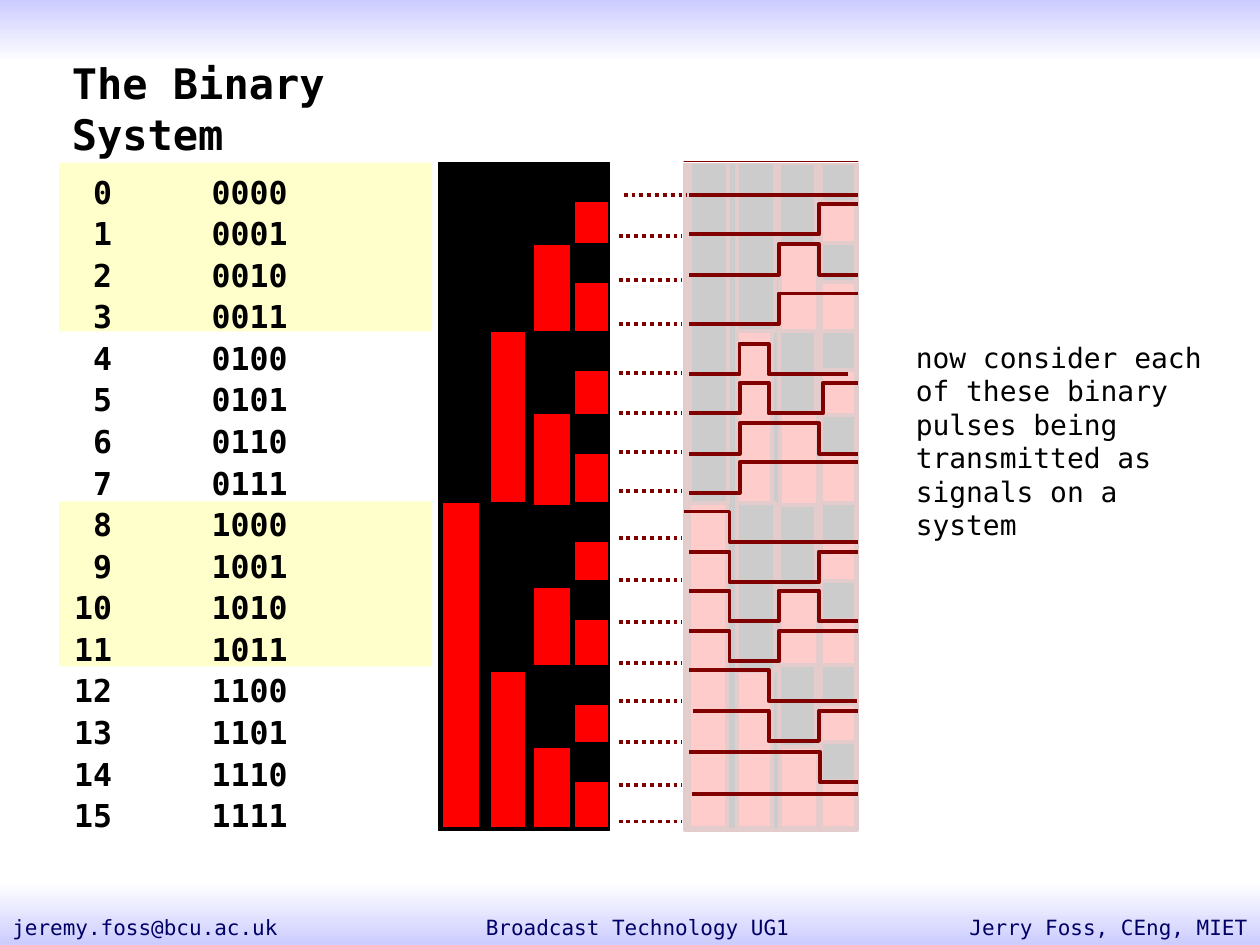
from dataclasses import dataclass
from typing import Any, NamedTuple

from lxml.etree import SubElement
from pptx import Presentation
from pptx.dml.color import RGBColor
from pptx.enum.dml import MSO_LINE
from pptx.enum.shapes import MSO_CONNECTOR, MSO_SHAPE
from pptx.enum.text import MSO_ANCHOR, MSO_AUTO_SIZE, PP_ALIGN
from pptx.oxml.ns import qn
from pptx.util import Inches, Pt


@dataclass(frozen=True)
class Theme:
    face: str = "DejaVu Sans Mono"
    ink: str = "000000"
    paper: str = "FFFFFF"
    lilac: str = "CCCCFF"
    navy: str = "000066"
    cream: str = "FFFFCC"
    red: str = "FF0000"
    maroon: str = "800000"
    title: int = 24
    list: int = 18
    note: int = 16
    foot: int = 12
    thin: float = 0.75
    thick: float = 2.25


class Box(NamedTuple):
    """Left, top, width and height in grid cells."""
    left: int
    top: int
    wide: int
    tall: int


class Bit(NamedTuple):
    """One bit's bar in a tower, with the masks that blank its zeros."""
    left: int
    wide: int
    mask: int
    span: int
    tall: int
    tops: tuple[int, ...]


class Wave(NamedTuple):
    """A pulse: its high level and the columns where it flips."""
    top: int
    flips: tuple[int, ...]
    start: int = 547
    end: int = 681


# The slide is a grid of 1000 columns by 750 rows
WIDE, TALL = Inches(10), Inches(7.5)
CELL = WIDE / 1000
LOOK = Theme()
TOP = 129
SHIFT = 196  # columns from the solid tower to the faded one
DROP = 24    # rows between high and low level

BITS = (
    Bit(351, 30, 352, 30, 270, (TOP,)),
    Bit(389, 28, 389, 30, 134, (399, TOP)),
    Bit(423, 30, 422, 30, 65, (TOP, 263, 401, 528)),
    Bit(456, 27, 456, 27, 31, (TOP, 193, 263, 329, 399, 461, 528, 589)),
)
WAVES = (
    Wave(162, (650,)),
    Wave(194, (618, 650)),
    Wave(233, (618,)),
    Wave(273, (587, 610), end=673),
    Wave(304, (587, 610, 653)),
    Wave(336, (587, 650)),
    Wave(367, (587,)),
    Wave(406, (579,), start=543),
    Wave(438, (579, 650)),
    Wave(469, (579, 618, 650)),
    Wave(501, (579, 618)),
    Wave(532, (610,), end=680),
    Wave(564, (610, 650), start=550),
    Wave(597, (651,)),
)
DOTS = (155, 187, 222, 257, 296, 328, 359, 390,
        427, 460, 494, 526, 556, 589, 623, 652)


def emu(count: float) -> int:
    return round(count * CELL)


def apply(item: Any, values: dict[str, Any]) -> None:
    for name, value in values.items():
        setattr(item, name, value)


def place(shape: Any, box: Box) -> None:
    apply(shape, dict(zip(("left", "top", "width", "height"), map(emu, box))))


def stroke(shape: Any, tint: str, width: float) -> None:
    shape.line.color.rgb = RGBColor.from_string(tint)
    shape.line.width = Pt(width)


def rect(shapes: Any, box: Box, tint: str, edge: str = "", width: float = LOOK.thin) -> Any:
    shape = shapes.add_shape(MSO_SHAPE.RECTANGLE, *map(emu, box))
    shape.shadow.inherit = False
    shape.fill.solid()
    shape.fill.fore_color.rgb = RGBColor.from_string(tint)
    if edge:
        stroke(shape, edge, width)
    else:
        shape.line.fill.background()
    return shape


def fade(shapes: Any, box: Box, tints: tuple[str, str]) -> None:
    fill = rect(shapes, box, LOOK.paper).fill
    fill.gradient()
    fill.gradient_angle = 270
    for stop, tint in zip(fill.gradient_stops, tints):
        stop.color.rgb = RGBColor.from_string(tint)


def write(shape: Any, lines: list[str], size: int, tint: str = LOOK.ink, bold: bool = False,
          align: Any = PP_ALIGN.LEFT, wrap: bool = True, space: float = 1.0) -> None:
    frame = shape.text_frame
    frame.text = "\n".join(lines)
    apply(frame, {"word_wrap": wrap, "auto_size": MSO_AUTO_SIZE.SHAPE_TO_FIT_TEXT,
                  "vertical_anchor": MSO_ANCHOR.TOP})
    for para in frame.paragraphs:
        apply(para, {"alignment": align, "line_spacing": space, "space_before": Pt(0)})
        if shape.is_placeholder:
            props = para._p.get_or_add_pPr()
            apply_none = {"marL": "0", "indent": "0"}
            for name, value in apply_none.items():
                props.set(name, value)
            SubElement(props, qn("a:buNone"))
        for run in para.runs:
            apply(run.font, {"name": LOOK.face, "size": Pt(size), "bold": bold})
            run.font.color.rgb = RGBColor.from_string(tint)


def label(shapes: Any, box: Box, text: str, size: int, **style: Any) -> None:
    write(shapes.add_textbox(*map(emu, box)), [text], size, **style)


def rule(shapes: Any, start: int, end: int, row: int, dash: Any = None) -> None:
    line = shapes.add_connector(MSO_CONNECTOR.STRAIGHT, emu(start), emu(row), emu(end), emu(row))
    stroke(line, LOOK.maroon, LOOK.thick)
    if dash:
        line.line.dash_style = dash
    SubElement(line.element.spPr, qn("a:effectLst"))


def tower(shapes: Any, shift: int, edge: str, width: float) -> None:
    rect(shapes, Box(348 + shift, TOP, 136, 530), LOOK.ink, edge, width)
    for bit in BITS:
        rect(shapes, Box(bit.left + shift, TOP, bit.wide, 528), LOOK.red, edge, width)
    for bit in reversed(BITS):
        for top in bit.tops:
            rect(shapes, Box(bit.mask + shift, top, bit.span, bit.tall), LOOK.ink, edge, width)


def pulse(shapes: Any, wave: Wave, high: bool) -> None:
    row = wave.top if high else wave.top + DROP
    pen = shapes.build_freeform(wave.start, row, scale=CELL)
    steps = []
    for flip in wave.flips:
        steps.append((flip, row))
        row = 2 * wave.top + DROP - row
        steps.append((flip, row))
    pen.add_line_segments(steps + [(wave.end, row)], close=False)
    shape = pen.convert_to_shape()
    shape.shadow.inherit = False
    shape.fill.background()
    stroke(shape, LOOK.maroon, LOOK.thick)


def main() -> None:
    deck = Presentation()
    apply(deck, {"slide_width": WIDE, "slide_height": TALL})
    slide = deck.slides.add_slide(deck.slide_layouts[3])
    shapes = slide.shapes
    title, index, code = slide.placeholders

    # Page bands and footer
    fade(shapes, Box(0, 0, 1000, 50), (LOOK.lilac, LOOK.paper))
    fade(shapes, Box(0, 700, 1000, 50), (LOOK.paper, LOOK.lilac))
    for left, wide, text, align in (
        (266, 480, "Broadcast Technology UG1", PP_ALIGN.CENTER),
        (0, 317, "jeremy.foss@bcu.ac.uk", PP_ALIGN.LEFT),
        (683, 317, "Jerry Foss, CEng, MIET", PP_ALIGN.RIGHT),
    ):
        label(shapes, Box(left, 721, wide, 29), text, LOOK.foot, tint=LOOK.navy, align=align)

    # Solid tower and list bands
    tower(shapes, 0, LOOK.ink, LOOK.thin)
    for top, tall in ((398, 131), (TOP, 134)):
        rect(shapes, Box(47, top, 296, tall), LOOK.cream)

    # Faded tower under a white veil
    tower(shapes, SHIFT, LOOK.maroon, LOOK.thick)
    veil = rect(shapes, Box(516, TOP, 196, 546), LOOK.paper, LOOK.paper)
    tint = veil.element.spPr.find(qn("a:solidFill"))[0]
    SubElement(tint, qn("a:alpha")).set("val", "80000")

    # Pulses for 0 to 15, with dotted leads
    rule(shapes, 547, 681, 155)
    for number, wave in enumerate(WAVES, 1):
        pulse(shapes, wave, number >= 8)
    rule(shapes, 549, 681, 630)
    for number, row in enumerate(DOTS):
        start = 491 if number else 495
        rule(shapes, start, start + 50, row, MSO_LINE.ROUND_DOT)

    # Title, lists and note, in front of the bands
    tree = title.element.getparent()
    for holder, box in ((title, Box(47, 41, 315, 50)), (index, Box(47, TOP, 52, 538)),
                        (code, Box(158, TOP, 84, 538))):
        place(holder, box)
        tree.append(holder.element)
    write(title, ["The Binary System"], LOOK.title, bold=True)
    rows = {"bold": True, "wrap": False, "space": 1.1}
    write(index, [str(n) for n in range(16)], LOOK.list, align=PP_ALIGN.RIGHT, **rows)
    write(code, [f"{n:04b}" for n in range(16)], LOOK.list, **rows)
    label(shapes, Box(717, 265, 264, 117),
          "now consider each of these binary pulses being transmitted as signals on a system",
          LOOK.note)
    deck.save("out.pptx")


if __name__ == "__main__":
    main()
